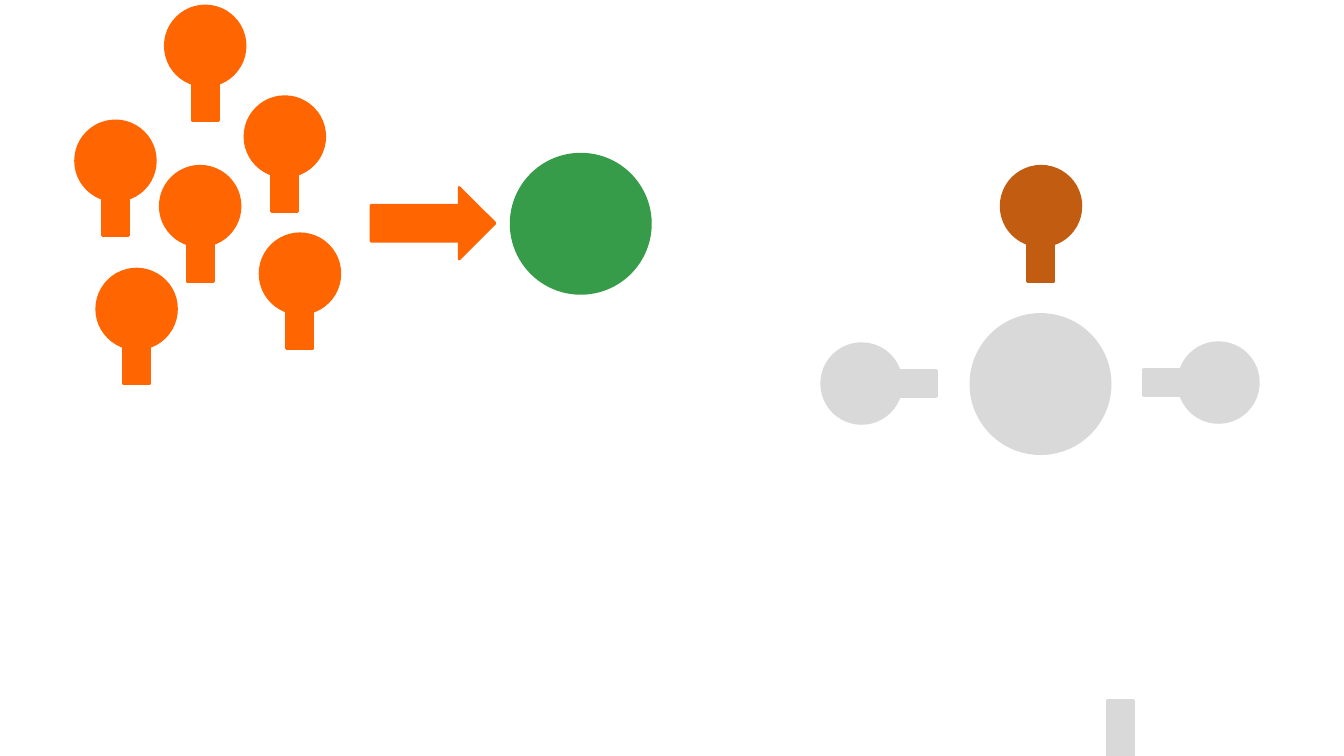
"""Build a slide of round-headed pins pointing at green and grey hubs."""
from dataclasses import dataclass
from math import cos, radians, sin

from pptx import Presentation
from pptx.dml.color import RGBColor
from pptx.enum.shapes import MSO_SHAPE as SHAPE
from pptx.util import Inches, Pt


@dataclass(frozen=True)
class Theme:
    orange: str = "FF6501"
    green: str = "369C49"
    brown: str = "C15C11"
    grey: str = "D9D9D9"
    line: float = 2


@dataclass(frozen=True)
class Pin:
    left: float
    top: float
    color: str
    angle: int = 0


THEME = Theme()
HUB = 1.38
HEAD = 0.79
STEM_W, STEM_H = 0.26, 0.7

CROWD = [
    Pin(left, top, THEME.orange)
    for left, top in [
        (1.64, 0.06), (2.43, 0.96), (1.59, 1.65),
        (0.75, 1.2), (2.58, 2.32), (0.96, 2.67),
    ]
]
RING = [
    Pin(9.93, 1.65, THEME.brown),
    Pin(8.15, 3.41, THEME.grey, 270),
    Pin(11.69, 3.4, THEME.grey, 90),
]


def add_block(s, kind: SHAPE, left: float, top: float, width: float,
              height: float, color: str, angle: int = 0) -> None:
    """Draw one preset shape with matching fill and outline."""
    sp = s.shapes.add_shape(kind, Inches(left), Inches(top), Inches(width), Inches(height))
    sp.shadow.inherit = False
    sp.rotation = angle
    sp.fill.solid()
    sp.fill.fore_color.rgb = RGBColor.from_string(color)
    sp.line.color.rgb = RGBColor.from_string(color)
    sp.line.width = Pt(THEME.line)


def add_hub(s, left: float, top: float, color: str) -> None:
    """Draw a large circle."""
    add_block(s, SHAPE.OVAL, left, top, HUB, HUB, color)


def add_pin(s, pin: Pin) -> None:
    """Draw a head and a stem centred on the head's edge."""
    radius = HEAD / 2
    turn = radians(pin.angle)
    stem_x = pin.left + radius - radius * sin(turn)
    stem_y = pin.top + radius + radius * cos(turn)
    add_block(s, SHAPE.OVAL, pin.left, pin.top, HEAD, HEAD, pin.color, pin.angle)
    add_block(s, SHAPE.RECTANGLE, stem_x - STEM_W / 2, stem_y - STEM_H / 2,
              STEM_W, STEM_H, pin.color, pin.angle)


def main() -> None:
    """Draw the slide and save it."""
    prs = Presentation()
    prs.slide_width, prs.slide_height = Inches(13.33), Inches(7.5)
    s = prs.slides.add_slide(prs.slide_layouts[6])
    add_hub(s, 5.07, 1.53, THEME.green)
    add_block(s, SHAPE.RIGHT_ARROW, 3.68, 1.86, 1.23, 0.71, THEME.orange)
    for pin in CROWD:
        add_pin(s, pin)
    add_hub(s, 9.63, 3.12, THEME.grey)
    add_block(s, SHAPE.RECTANGLE, 10.98, 6.95, STEM_W, STEM_H, THEME.grey, 180)
    for pin in RING:
        add_pin(s, pin)
    prs.save("out.pptx")


main()
